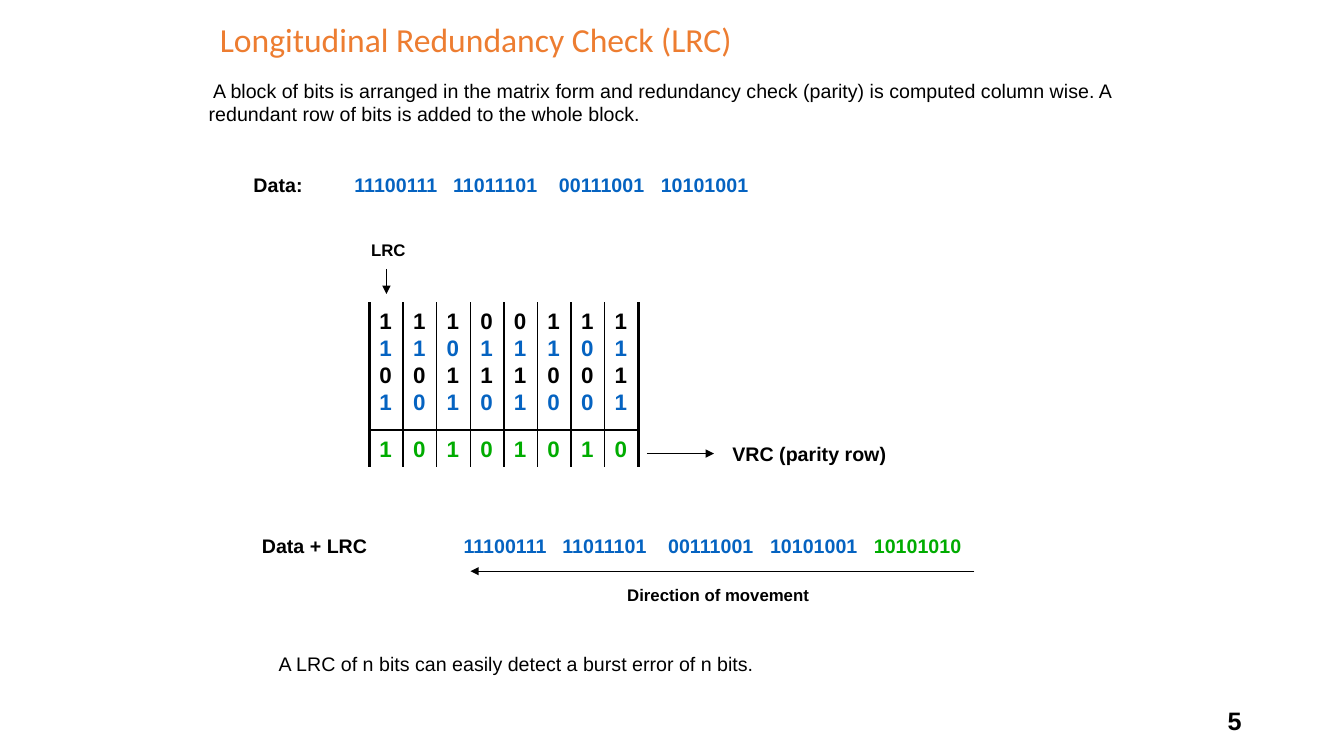
from lxml import etree
from pptx import Presentation, util as u
from pptx.dml.color import RGBColor
from pptx.enum import shapes, text
from pptx.oxml import ns

COLUMNS, ROWS = 160, 90
BLACK, BLUE, GREEN, ORANGE = "000000", "0563C1", "00AC00", "ED7D31"
WORDS = ["11100111", "11011101", "00111001", "10101001"]
PARITY = "10101010"
WORD_STOPS = [0, 0.98, 2.03, 3.04, 4.07]


def colour(code):
    return RGBColor.from_string(code)


class Sheet:
    def __init__(self, deck):
        self.page = deck.slides.add_slide(deck.slide_layouts[6])
        self.column = deck.slide_width / COLUMNS
        self.row = deck.slide_height / ROWS

    def place(self, column, row):
        return u.Emu(round(column * self.column)), u.Emu(round(row * self.row))

    def label(self, area, spans, size=14, bold=True, font="Arial", align="LEFT",
              anchor="TOP", margins=(0.1, 0.05), leading=None):
        box = self.page.shapes.add_textbox(*self.place(*area[:2]), *self.place(*area[2:]))
        frame = box.text_frame
        frame.word_wrap = True
        frame.vertical_anchor = getattr(text.MSO_ANCHOR, anchor)
        frame.margin_left = frame.margin_right = u.Inches(margins[0])
        frame.margin_top = frame.margin_bottom = u.Inches(margins[1])
        para = frame.paragraphs[0]
        para.alignment = getattr(text.PP_ALIGN, align)
        if leading:
            para.line_spacing = leading
        para.font.name, para.font.size, para.font.bold = font, u.Pt(size), bold
        for content, shade in spans:
            span = para.add_run()
            span.text = content
            span.font.color.rgb = colour(shade)
        return para

    def tabbed_words(self, area, heading, first_stop, spans):
        tabbed = [("\t" + word, shade) for word, shade in spans]
        para = self.label(area, [(heading, BLACK)] + tabbed)
        stops = etree.Element(ns.qn("a:tabLst"))
        for offset in WORD_STOPS[:len(spans)]:
            position = u.Inches(first_stop + offset)
            etree.SubElement(stops, ns.qn("a:tab"), pos=str(position), algn="l")
        para.font._element.addprevious(stops)

    def line(self, start, end, width=1, arrow=False):
        rule = self.page.shapes.add_connector(
            shapes.MSO_CONNECTOR.STRAIGHT, *self.place(*start), *self.place(*end))
        rule.line.color.rgb = colour(BLACK)
        rule.line.width = u.Pt(width)
        if arrow:
            etree.SubElement(rule.line._get_or_add_ln(), ns.qn("a:tailEnd"), type="triangle")
        etree.SubElement(rule._element.spPr, ns.qn("a:effectLst"))

    def matrix(self, left, top, parity_top, bottom, step):
        right = left + step * len(PARITY)
        for index, bits in enumerate(zip(*WORDS)):
            x = left + index * step
            spans = [(bit, (BLACK, BLUE)[row % 2]) for row, bit in enumerate(bits)]
            self.label((x, top, step, parity_top - top), spans, 16, leading=u.Pt(19.3))
            self.label((x, parity_top, step, 4.4), [(PARITY[index], GREEN)], 16,
                       leading=u.Pt(19.3))
        self.line((left, parity_top), (right, parity_top))
        for x in range(left, right + 1, step):
            self.line((x, top), (x, bottom), 2.25 if x in (left, right) else 1)


def main():
    deck = Presentation()
    deck.slide_width, deck.slide_height = u.Inches(13.33), u.Inches(7.5)
    sheet = Sheet(deck)
    sheet.label((113, 83.4, 36, 4.8), [("5", BLACK)], 18, align="RIGHT", anchor="MIDDLE")
    sheet.label((25, 2, 102, 6), [("Longitudinal Redundancy Check (LRC)", ORANGE)], 24,
                bold=False, font="Calibri", anchor="MIDDLE", leading=0.9)
    sheet.label((24, 9, 112, 6.4),
                [(" A block of bits is arranged in the matrix form and redundancy check "
                  "(parity) is computed column wise. A redundant row of bits is added to "
                  "the whole block.", BLACK)], bold=False, margins=(0.07, 0.03))

    data = [(word, BLUE) for word in WORDS]
    sheet.tabbed_words((29, 20, 103, 4), "Data:", 1, data)
    sheet.matrix(left=44, top=36, parity_top=51.2, bottom=55.6, step=4)
    sheet.label((43, 28, 9, 3.6), [("LRC", BLACK)], 12)
    sheet.line((46, 32), (46, 35), 0.75, arrow=True)
    sheet.line((77, 54), (85, 54), 0.75, arrow=True)
    sheet.label((86, 52, 23, 4), [("VRC (parity row)", BLACK)])

    sheet.tabbed_words((30, 63, 93, 4), "Data + LRC", 2, data + [(PARITY, GREEN)])
    sheet.line((116, 68), (56, 68), 0.75, arrow=True)
    sheet.label((63, 69, 45, 3.6), [("Direction of movement", BLACK)], 12, align="CENTER")
    sheet.label((32, 77, 92, 4),
                [("A LRC of n bits can easily detect a burst error of n bits.", BLACK)],
                bold=False)
    deck.save("out.pptx")


if __name__ == "__main__":
    main()
